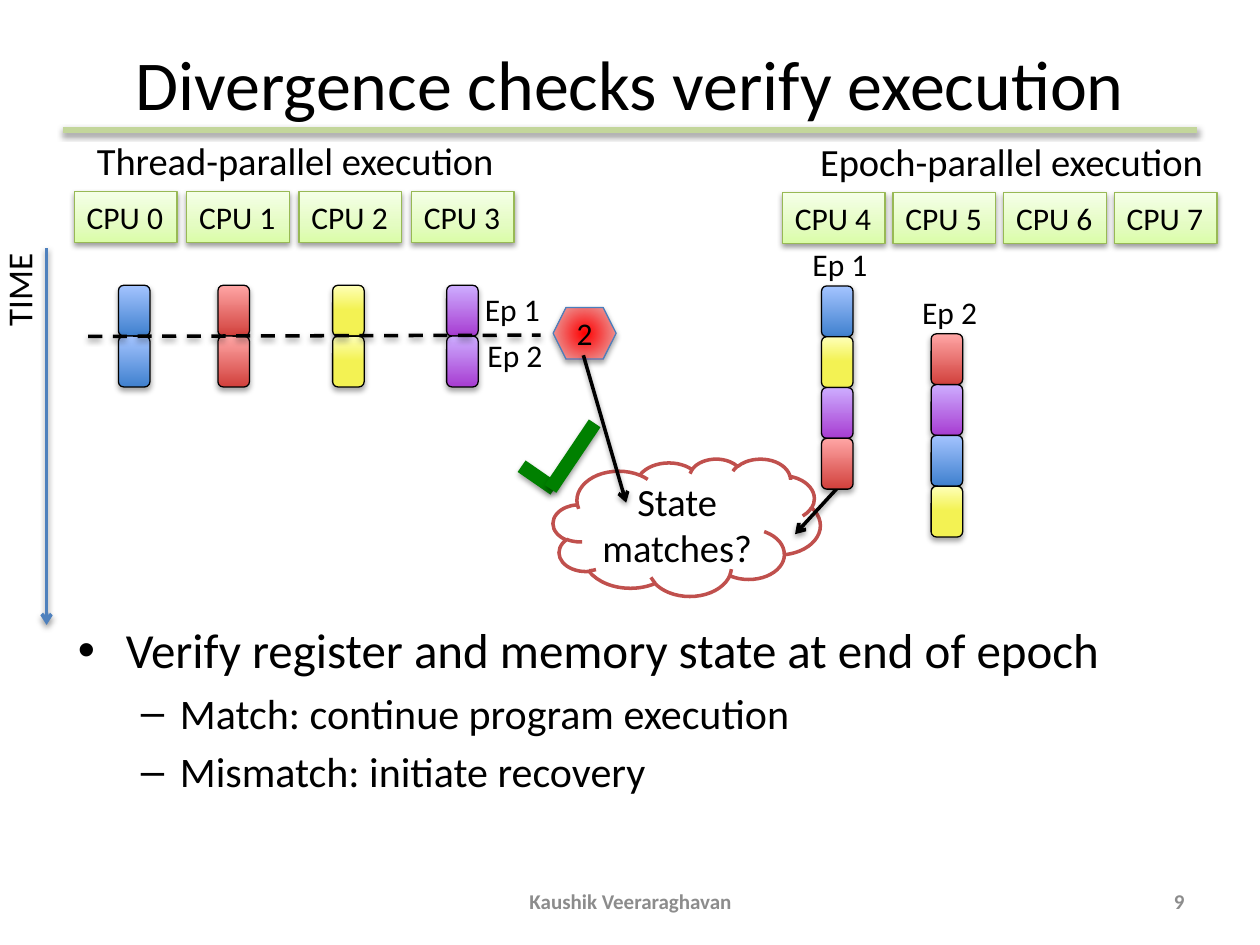
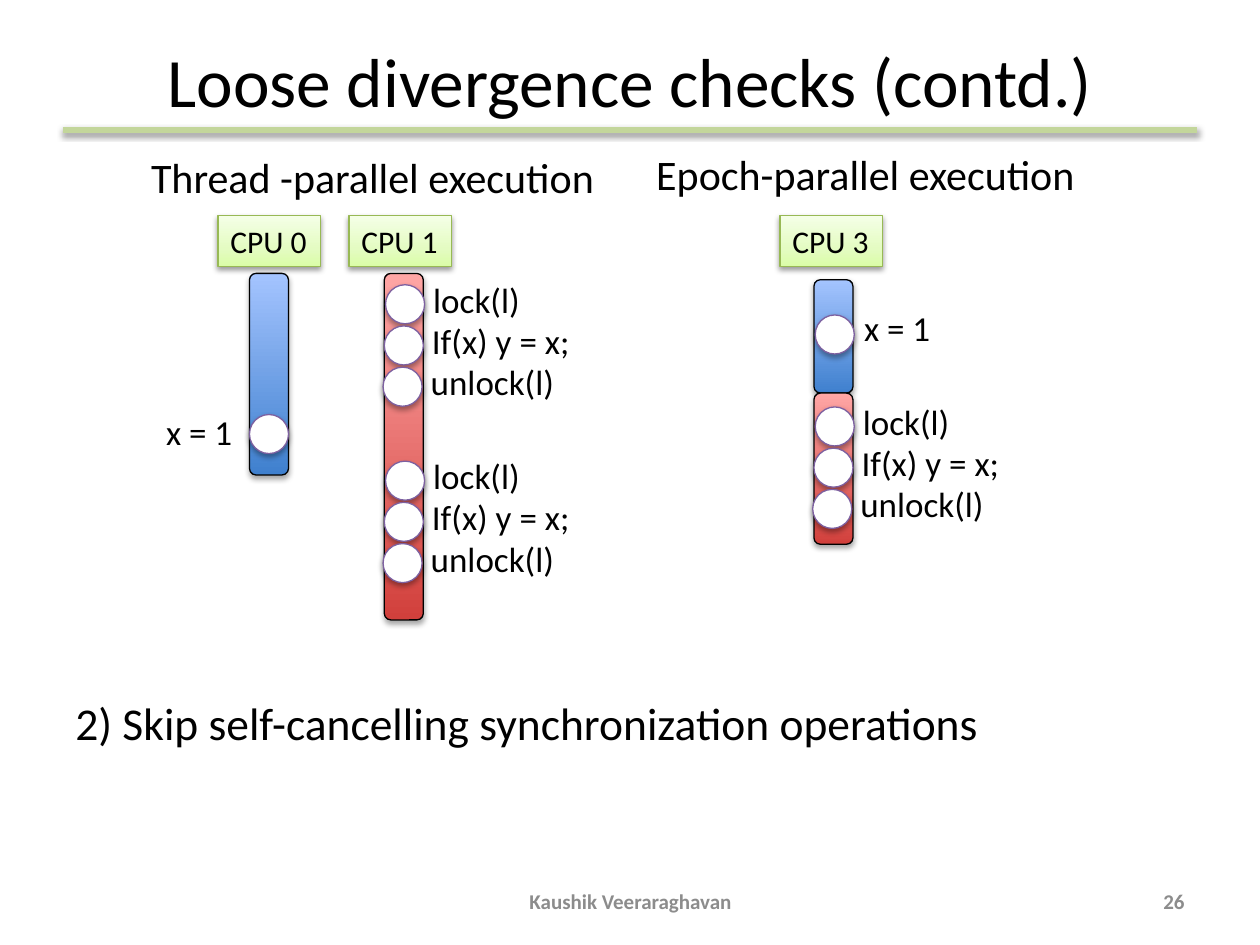
from dataclasses import dataclass

from lxml.etree import SubElement
from pptx import Presentation
from pptx.dml.color import RGBColor
from pptx.enum.dml import MSO_LINE_DASH_STYLE as Dash
from pptx.enum.shapes import MSO_CONNECTOR, MSO_SHAPE as Preset
from pptx.enum.text import MSO_ANCHOR as Anchor, MSO_AUTO_SIZE as AutoSize, PP_ALIGN as Align
from pptx.oxml.ns import qn
from pptx.util import Inches, Pt

WIDTH, HEIGHT = Inches(10), Inches(7.5)
UNIT = WIDTH / 100  # one grid column; rows have the same size, 75 to a slide


@dataclass(frozen=True)
class Theme:
    font: str = "Calibri"
    ink: str = "000000"
    paper: str = "FFFFFF"
    muted: str = "8C8C8C"
    rule: str = "C3D69B"
    axis: str = "4F81BD"
    cloud_edge: str = "C0504D"
    check: str = "008000"
    operation_edge: str = "7D60A0"
    hexagon_edge: str = "4B7EBC"
    cpu_edge: str = "98B955"
    cpu: tuple = ((0, "DAFDA7"), (35, "E4FCC2"), (100, "F5FFE7"))
    blue: tuple = ((0, "3F80CE"), (100, "A4C4FF"))
    red: tuple = ((0, "D1403C"), (100, "FFA6A5"))
    yellow: tuple = ((52, "F3F253"), (100, "FEFFB7"))
    purple: tuple = ((0, "A73CD1"), (100, "CDADFF"))
    hexagon: tuple = ((0, "FF0000"), (100, "E6B9B8"))
    footer_size: float = 12
    label_size: float = 18
    code_size: float = 20
    heading_size: float = 22
    loose_heading_size: float = 24
    outcome_size: float = 24
    remark_size: float = 26
    point_size: float = 28
    loose_title_size: float = 39.6
    title_size: float = 40


THEME = Theme()
SOFT, DEEP = (38, 20000), (35, 23000)  # shadow opacity and distance


@dataclass(frozen=True)
class Box:
    """A region of the grid, in columns and rows."""
    left: float
    top: float
    width: float
    height: float

    def cell(self, x, y, width, height):
        return Box(self.left + x, self.top + y, width, height)

    def point(self, x, y):
        return self.left + x, self.top + y

    def emu(self):
        return [round(n * UNIT) for n in (self.left, self.top, self.width, self.height)]


PAGE = Box(0, 0, 100, 75)


# Formatting helpers
def child(parent, tag, **attributes):
    return SubElement(parent, qn(tag), {name: str(value) for name, value in attributes.items()})


def add_shadow(effects, shadow):
    opacity, distance = shadow
    outer = child(effects, "a:outerShdw", blurRad=40000, dist=distance, dir=5400000, rotWithShape=0)
    color = child(outer, "a:srgbClr", val=THEME.ink)
    child(color, "a:alpha", val=opacity * 1000)


def fill_gradient(shape, stops, radial):
    shape.fill.gradient()
    gradient = shape._element.spPr.find(qn("a:gradFill"))
    for old in list(gradient):
        gradient.remove(old)
    stop_list = child(gradient, "a:gsLst")
    for position, color in stops:
        child(child(stop_list, "a:gs", pos=position * 1000), "a:srgbClr", val=color)
    if radial:
        center = child(gradient, "a:path", path="circle")
        child(center, "a:fillToRect", l=50000, t=50000, r=50000, b=50000)
    else:
        child(gradient, "a:lin", ang=16200000, scaled=0)


def write(holder, text, *, size=THEME.label_size, color=THEME.ink, bold=False, align=Align.LEFT,
          anchor=Anchor.TOP, wrap=True, before=0, indent=0, hanging=0, bullet=None):
    """Adds one formatted paragraph to a shape, using its first one if empty."""
    frame = holder.text_frame
    frame.word_wrap, frame.vertical_anchor, frame.auto_size = wrap, anchor, AutoSize.NONE
    paragraph = frame.add_paragraph() if frame.text else frame.paragraphs[0]
    paragraph.alignment, paragraph.space_before = align, Pt(before)
    run = paragraph.add_run()
    run.text = text
    run.font.name, run.font.size, run.font.bold = THEME.font, Pt(size), bold
    run.font.color.rgb = RGBColor.from_string(color)
    if indent:
        properties = paragraph._p.get_or_add_pPr()
        properties.set("marL", str(Inches(indent)))
        properties.set("indent", str(-Inches(hanging)))
        if bullet:
            child(properties, "a:buFont", typeface="Arial")
            child(properties, "a:buChar", char=bullet)
    return holder


def add_label(slide, box, text, **style):
    return write(slide.shapes.add_textbox(*box.emu()), text, **style)


def add_figure(slide, preset, box, fill, edge, weight=0.75, shadow=DEEP, radial=False):
    figure = slide.shapes.add_shape(preset, *box.emu())
    if isinstance(fill, str):
        figure.fill.solid()
        figure.fill.fore_color.rgb = RGBColor.from_string(fill)
    else:
        fill_gradient(figure, fill, radial)
    figure.line.color.rgb, figure.line.width = RGBColor.from_string(edge), Pt(weight)
    figure.shadow.inherit = False
    if shadow:
        add_shadow(figure._element.spPr.find(qn("a:effectLst")), shadow)
    return figure


def add_line(slide, start, end, color=THEME.ink, weight=2, dashed=False, arrow=False):
    ends = [round(n * UNIT) for n in (*start, *end)]
    line = slide.shapes.add_connector(MSO_CONNECTOR.STRAIGHT, *ends)
    line.line.color.rgb, line.line.width = RGBColor.from_string(color), Pt(weight)
    if dashed:
        line.line.dash_style = Dash.DASH
    properties = line._element.spPr
    if arrow:
        child(properties.find(qn("a:ln")), "a:tailEnd", type="arrow")
    add_shadow(child(properties, "a:effectLst"), SOFT)


# Elements that both slides share
def add_frame(deck, title, number, title_box, title_size=THEME.title_size):
    slide = deck.slides.add_slide(deck.slide_layouts[5])
    add_line(slide, PAGE.point(5, 10.3), PAGE.point(95, 10.3), THEME.rule, 3.5)
    heading = slide.shapes.title
    heading.left, heading.top, heading.width, heading.height = title_box.emu()
    write(heading, title, size=title_size, align=Align.CENTER, anchor=Anchor.MIDDLE)
    footer = dict(size=THEME.footer_size, color=THEME.muted, bold=True, anchor=Anchor.MIDDLE)
    add_label(slide, PAGE.cell(34.2, 69.5, 31.7, 4), "Kaushik Veeraraghavan",
              align=Align.CENTER, **footer)
    add_label(slide, PAGE.cell(71.7, 69.5, 23.3, 4), number, align=Align.RIGHT, **footer)
    return slide


def add_cpus(slide, row, numbers, pitch):
    for index, number in enumerate(numbers):
        cpu = add_figure(slide, Preset.RECTANGLE, row.cell(index * pitch, 0, 8.15, 4.05),
                         THEME.cpu, THEME.cpu_edge, shadow=SOFT)
        write(cpu, f"CPU {number}", wrap=False)


def add_bar(slide, box, fill):
    add_figure(slide, Preset.ROUNDED_RECTANGLE, box, fill, THEME.ink)


def add_stack(slide, box, fills):
    for index, fill in enumerate(fills):
        add_bar(slide, box.cell(0, index * 4.03, 2.5, 4.03), fill)


def add_epoch_label(slide, box, number):
    add_label(slide, box, f"Ep {number}", wrap=False)


# Regions of the divergence slide
def draw_time_axis(slide, box):
    add_line(slide, box.point(4.4, 0), box.point(4.4, box.height), THEME.axis, arrow=True)
    caption = add_label(slide, box.cell(0, 0.3, 5.4, 6.9), "TIME", size=THEME.code_size, wrap=False)
    caption.text_frame._txBody.bodyPr.set("vert", "vert270")


def draw_threads(slide, box):
    add_label(slide, box.cell(0.8, 0, 33.9, 4.7), "Thread-parallel execution",
              size=THEME.heading_size, wrap=False)
    add_cpus(slide, box.cell(0, 4.8, 35, 4), range(4), 8.92)
    threads = ((3.5, THEME.blue), (11.4, THEME.red), (20.5, THEME.yellow), (29.55, THEME.purple))
    for column, fill in threads:
        add_stack(slide, box.cell(column, 12.25, 2.5, 8), [fill] * 2)
    add_line(slide, box.point(1.1, 16.3), box.point(37, 16.2), dashed=True)
    add_epoch_label(slide, box.cell(31.6, 12.1, 6.4, 4), 1)
    add_epoch_label(slide, box.cell(31.8, 15.8, 6.4, 4), 2)


def draw_epochs(slide, box):
    add_label(slide, box.cell(2, 0, 32.8, 4.7), "Epoch-parallel execution",
              size=THEME.heading_size, wrap=False)
    add_cpus(slide, box.cell(0, 4.8, 35, 4), range(4, 8), 8.78)
    epochs = (
        (3.1, 12.2, (THEME.blue, THEME.yellow, THEME.purple, THEME.red)),
        (11.8, 16, (THEME.red, THEME.purple, THEME.blue, THEME.yellow)),
    )
    for number, (column, row, fills) in enumerate(epochs, 1):
        add_stack(slide, box.cell(column, row, 2.5, 16), fills)
        add_epoch_label(slide, box.cell(column - 1.7, row - 3.75, 6.4, 4), number)


def draw_state_check(slide, box):
    cloud = add_figure(slide, Preset.CLOUD, box.cell(2.5, 12, 21.2, 10.9), THEME.paper,
                       THEME.cloud_edge, weight=2, shadow=None)
    write(cloud, "State matches?", size=THEME.heading_size, align=Align.CENTER,
          anchor=Anchor.MIDDLE)
    count = add_figure(slide, Preset.HEXAGON, box.cell(2.5, 0, 5, 4.1), THEME.hexagon,
                       THEME.hexagon_edge, radial=True)
    write(count, "2", align=Align.CENTER, anchor=Anchor.MIDDLE)
    # Check mark
    add_line(slide, box.point(0, 12.6), box.point(2.6, 14.4), THEME.check, 8)
    add_line(slide, box.point(2.3, 14.4), box.point(5.8, 9.2), THEME.check, 8)
    # Both executions feed the comparison
    add_line(slide, box.point(4.9, 3.8), box.point(8.3, 15.5), arrow=True)
    add_line(slide, box.point(25, 14.4), box.point(21.7, 18), arrow=True)


def draw_verification(slide, box):
    body = add_label(slide, box, "Verify register and memory state at end of epoch",
                     size=THEME.point_size, before=5.6, indent=0.38, hanging=0.38, bullet="•")
    for outcome in ("Match: continue program execution", "Mismatch: initiate recovery"):
        write(body, outcome, size=THEME.outcome_size, before=4.8, indent=0.81, hanging=0.31,
              bullet="–")


def build_divergence_slide(deck):
    slide = add_frame(deck, "Divergence checks verify execution", "9", PAGE.cell(0, 3, 100, 7.1))
    draw_state_check(slide, PAGE.cell(41.4, 24.4, 25, 23))
    draw_verification(slide, PAGE.cell(5.2, 48.7, 90, 18.1))
    draw_time_axis(slide, PAGE.cell(-0.7, 19.7, 5.4, 29.9))
    draw_threads(slide, PAGE.cell(5.9, 10.4, 38, 21))
    draw_epochs(slide, PAGE.cell(62.1, 10.5, 35, 32))


# Regions of the loose checks slide
def add_operation(slide, spot, text, text_left=2.8, text_top=-1):
    add_figure(slide, Preset.OVAL, spot.cell(0, 0, 3.1, 3.1), THEME.paper, THEME.operation_edge)
    add_label(slide, spot.cell(text_left, text_top, 16, 4.4), text, size=THEME.code_size)


def add_locked_section(slide, spot):
    for index, step in enumerate(("lock(l)", "If(x) y = x;", "unlock(l)")):
        add_operation(slide, spot.cell(-0.1 * index, 3.27 * index, 3.1, 3.1), step)


def draw_loose_threads(slide, box):
    add_label(slide, box.cell(0, 0, 37.5, 5), "Thread -parallel execution",
              size=THEME.loose_heading_size, wrap=False)
    add_cpus(slide, box.cell(6.3, 5.6, 19, 4), (0, 1), 10.4)
    add_bar(slide, box.cell(8.8, 10.2, 3.1, 16), THEME.blue)
    add_operation(slide, box.cell(8.8, 21.4, 3.1, 3.1), "x = 1", -7.6, -0.8)
    add_bar(slide, box.cell(19.5, 10.2, 3.1, 27.5), THEME.red)
    for row in (11.1, 25.1):
        add_locked_section(slide, box.cell(19.6, row, 3.1, 10))


def draw_loose_epoch(slide, box):
    add_label(slide, box.cell(0, 0, 35.6, 5), "Epoch-parallel execution",
              size=THEME.loose_heading_size, wrap=False)
    add_cpus(slide, box.cell(10.8, 5.8, 8, 4), (3,), 0)
    add_bar(slide, box.cell(13.5, 10.9, 3.1, 9), THEME.blue)
    add_operation(slide, box.cell(13.6, 13.7, 3.1, 3.1), "x = 1", 2.9, -1.2)
    add_bar(slide, box.cell(13.5, 19.9, 3.1, 12), THEME.red)
    add_locked_section(slide, box.cell(13.6, 21, 3.1, 10))


def build_loose_checks_slide(deck):
    slide = add_frame(deck, "Loose divergence checks (contd.)", "26",
                      PAGE.cell(5, 3, 90, 6.6), THEME.loose_title_size)
    add_label(slide, PAGE.cell(5, 54.7, 90, 13.7),
              "2) Skip self-cancelling synchronization operations",
              size=THEME.remark_size, before=5.2, indent=0.38, hanging=0.38)
    draw_loose_epoch(slide, PAGE.cell(51.1, 11.3, 36, 32))
    draw_loose_threads(slide, PAGE.cell(11, 11.5, 43, 38))


def main():
    deck = Presentation()
    deck.slide_width, deck.slide_height = WIDTH, HEIGHT
    build_divergence_slide(deck)
    build_loose_checks_slide(deck)
    deck.save("out.pptx")


if __name__ == "__main__":
    main()
